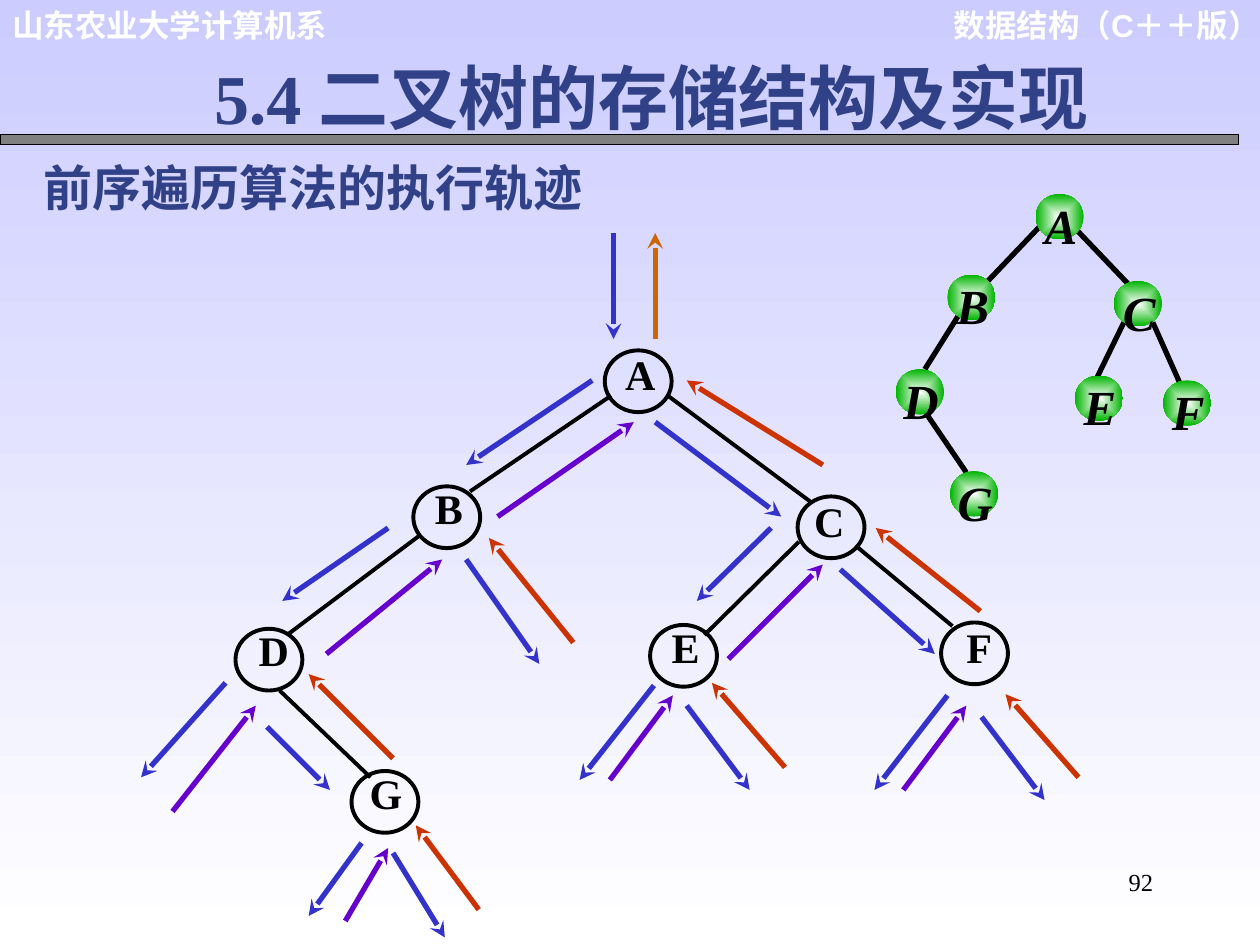
from lxml.etree import SubElement
from pptx import Presentation
from pptx.dml.color import RGBColor
from pptx.enum.shapes import MSO_CONNECTOR, MSO_SHAPE
from pptx.enum.text import PP_ALIGN
from pptx.oxml.ns import qn
from pptx.util import Pt

SERIF, SANS, CJK = "Times New Roman", "Arial", "Noto Sans CJK SC"
BLACK, WHITE, NAVY, GREEN = "000000", "FFFFFF", "314187", "00B400"

# Traversal tree: circle left, top; label left, top
TRACE_NODES = {
    "A": (345.6, 200.2, 349.9, 199.4),
    "B": (236.2, 277.9, 240.5, 275.8),
    "C": (455.8, 283.7, 457.9, 283),
    "D": (134.6, 359.3, 140.4, 357.1),
    "E": (371.5, 357.1, 375.8, 355),
    "F": (537.8, 355.7, 543.6, 355),
    "G": (200.9, 440.6, 204.5, 438.5),
}
TRACE_EDGES = [
    (349.2, 226.1, 268.6, 280.8), (381.6, 226.1, 463, 286.6),
    (239.8, 306, 164.9, 362.2), (159.8, 394.6, 211.7, 444.2),
    (456.5, 309.6, 402.5, 362.9), (488.9, 311.8, 544.3, 357.8),
]
# Steps of the traversal, by colour: x1, y1, x2, y2
STEPS = {
    # calls
    "3333CC": [
        (350.6, 133.2, 350.6, 193.7), (338.4, 217.4, 266.4, 265.7),
        (221.8, 301.7, 161.3, 343.4), (128.9, 390.2, 80.6, 444.2),
        (152.6, 415.4, 188.6, 451.4), (206.6, 481.7, 176.4, 523.4),
        (224.6, 487.4, 254.2, 535.7), (266.4, 319.7, 308.2, 379.4),
        (374.4, 241.2, 446.4, 295.2), (440.6, 301.7, 398.2, 343.4),
        (373.7, 391.7, 331.2, 445.7), (392.4, 403.2, 428.4, 451.4),
        (480.2, 325.4, 534.2, 373.7), (541.4, 397.4, 499.7, 451.4),
        (560.9, 409.7, 596.9, 457.2),
    ],
    # returns from a left subtree
    "6600CC": [
        (98.6, 463.7, 146.2, 403.2), (197.3, 526.3, 221.8, 484.6),
        (186.5, 373.7, 252.7, 319.7), (284.4, 295.2, 362.2, 241.2),
        (348.5, 445.7, 384.5, 397.4), (416.2, 376.6, 470.2, 322.6),
        (516.2, 451.4, 552.2, 403.2),
    ],
    # returns from a right subtree
    "CC3300": [
        (273.6, 519.8, 237.6, 471.6), (224.6, 433.4, 176.4, 385.2),
        (327.6, 367.2, 279.4, 307.4), (448.6, 438.5, 406.8, 390.2),
        (616.3, 444.2, 574.6, 396.7), (560.2, 349.2, 500.4, 301.7),
        (470.2, 265.7, 392.4, 217.4),
    ],
    # final return
    "CC6600": [(374.4, 193.7, 374.4, 133.2)],
}
SAMPLE_NODES = {
    "A": (591.8, 110.9), "B": (541.4, 157), "C": (636.5, 160.6),
    "D": (511.9, 211), "E": (614.2, 214.6), "F": (664.6, 217.4),
    "G": (542.9, 269.3),
}
SAMPLE_EDGES = [
    (594, 129.6, 564.5, 160.6), (615.6, 131.8, 645.1, 162.7),
    (547.9, 180, 528.5, 211), (529.2, 236.2, 552.2, 270),
    (642.2, 184.3, 627.1, 215.3), (658.8, 184.3, 673.9, 218.2),
]


def rgb(hex_color):
    return RGBColor.from_string(hex_color)


def set_gradient(fill, start, end):
    fill.gradient()
    for stop, position, color in zip(fill.gradient_stops, (0, 1), (start, end)):
        stop.position = position
        stop.color.rgb = rgb(color)


def add_text(slide, box, runs, size, color=BLACK, align=PP_ALIGN.LEFT,
             bold=True, italic=False, insets=(7.2, 3.6, 7.2, 3.6)):
    """Add one paragraph made of (text, font) runs."""
    frame = slide.shapes.add_textbox(*map(Pt, box)).text_frame
    frame.word_wrap = True
    (frame.margin_left, frame.margin_top,
     frame.margin_right, frame.margin_bottom) = map(Pt, insets)
    paragraph = frame.paragraphs[0]
    paragraph.alignment = align
    for text, font_name in runs:
        run = paragraph.add_run()
        run.text = text
        font = run.font
        font.name, font.size = font_name, Pt(size)
        font.bold, font.italic = bold, italic
        font.color.rgb = rgb(color)
        SubElement(run._r.get_or_add_rPr(), qn("a:ea")).set("typeface", CJK)


def add_line(slide, ends, color, width, arrow=False):
    connector = slide.shapes.add_connector(MSO_CONNECTOR.STRAIGHT, *map(Pt, ends))
    connector.line.color.rgb = rgb(color)
    connector.line.width = Pt(width)
    if arrow:
        SubElement(connector.line._get_or_add_ln(), qn("a:tailEnd")).set("type", "stealth")
    SubElement(connector._element.spPr, qn("a:effectLst"))


def add_shape(slide, preset, box):
    shape = slide.shapes.add_shape(preset, *map(Pt, box))
    shape.shadow.inherit = False
    return shape


def add_header_bar(slide):
    bar = add_shape(slide, MSO_SHAPE.RECTANGLE, (0, 77, 707.8, 5.8))
    bar.fill.solid()
    bar.fill.fore_color.rgb = rgb("808080")
    bar.line.color.rgb = rgb(BLACK)
    bar.line.width = Pt(0.75)


def add_trace_node(slide, letter, left, top, label_left, label_top):
    add_text(slide, (label_left, label_top, 32, 41.8), [(letter, SERIF)], 24,
             align=PP_ALIGN.CENTER, insets=(0, 0, 0, 0))
    circle = add_shape(slide, MSO_SHAPE.OVAL, (left, top, 38.2, 35.3))
    circle.fill.background()
    circle.line.color.rgb = rgb(BLACK)
    circle.line.width = Pt(2.25)


def add_sample_node(slide, letter, left, top):
    """Add a green ball, white at its centre, with its letter."""
    ball = add_shape(slide, MSO_SHAPE.OVAL, (left, top, 27.4, 25.9))
    set_gradient(ball.fill, WHITE, GREEN)
    gradient = ball._element.spPr.find(qn("a:gradFill"))
    gradient.remove(gradient.find(qn("a:lin")))
    radial = SubElement(gradient, qn("a:path"))
    radial.set("path", "rect")
    centre = SubElement(radial, qn("a:fillToRect"))
    for side in "ltrb":
        centre.set(side, "50000")
    ball.line.fill.background()
    add_text(slide, (left + 2.9, top - 2.2, 23, 33.8), [(letter, SERIF)], 28,
             align=PP_ALIGN.CENTER, italic=True, insets=(0, 2.9, 0, 0))


def main():
    deck = Presentation()
    deck.slide_width, deck.slide_height = Pt(720), Pt(540)
    slide = deck.slides.add_slide(deck.slide_layouts[6])
    set_gradient(slide.background.fill, "CCCCFF", WHITE)
    slide.background.fill.gradient_angle = 270

    add_text(slide, (532, 0, 195, 50.4), [("数据结构（C＋＋版）", SANS)], 18, WHITE,
             PP_ALIGN.RIGHT)
    add_text(slide, (0, 0, 195, 28.8), [("山东农业大学计算机系", SANS)], 18, WHITE)
    add_header_bar(slide)
    add_text(slide, (516.2, 491.8, 149.8, 36), [("92", SERIF)], 14,
             align=PP_ALIGN.RIGHT, bold=False)

    for letter, places in TRACE_NODES.items():
        add_trace_node(slide, letter, *places)
    for edge in TRACE_EDGES:
        add_line(slide, edge, BLACK, 2.25)
    for color, steps in STEPS.items():
        for step in steps:
            add_line(slide, step, color, 3, arrow=True)

    add_text(slide, (115.2, 27.4, 555, 55.4), [("5.4 二叉树的存储结构及实现", SERIF)],
             40, NAVY, PP_ALIGN.JUSTIFY)
    add_text(slide, (18, 86.4, 401.8, 41),
             [("前序遍历", CJK), ("算法的执行轨迹", SERIF)], 28, NAVY)

    for edge in SAMPLE_EDGES:
        add_line(slide, edge, BLACK, 3)
    for letter, place in SAMPLE_NODES.items():
        add_sample_node(slide, letter, *place)

    deck.save("out.pptx")


if __name__ == "__main__":
    main()
